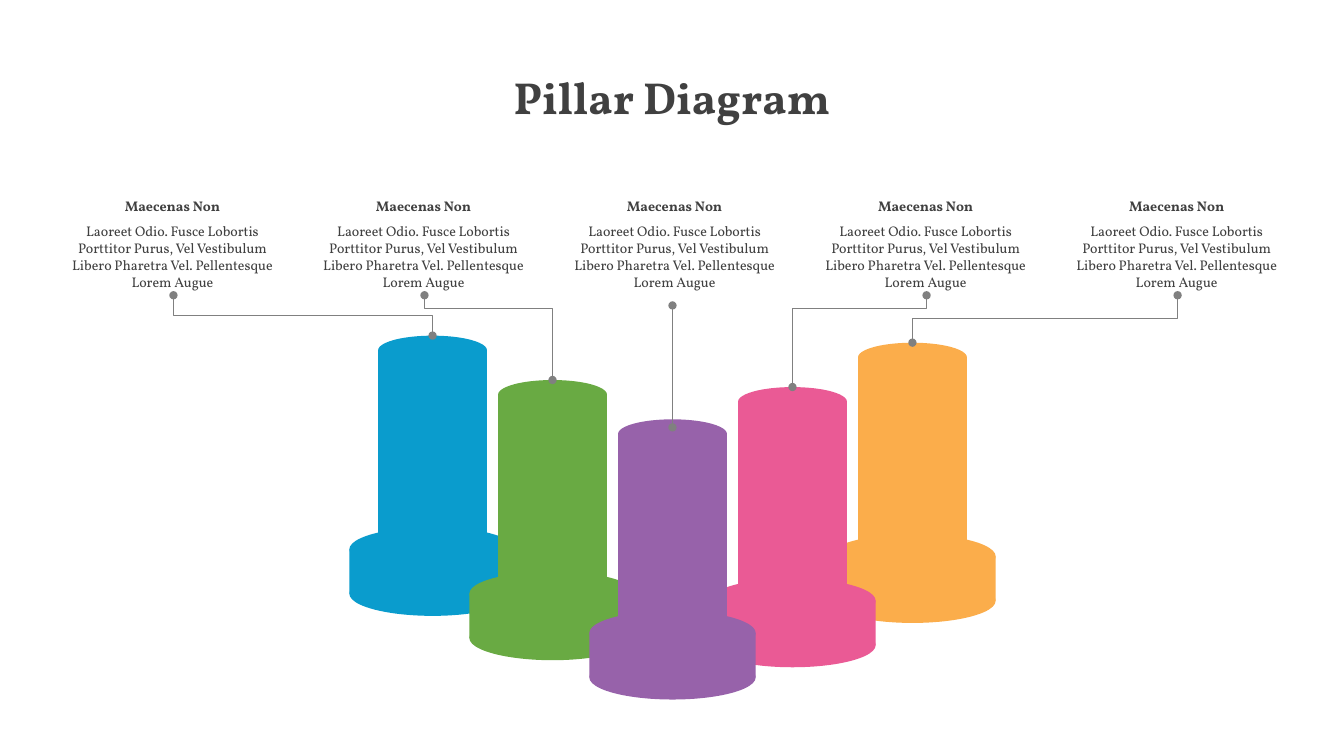
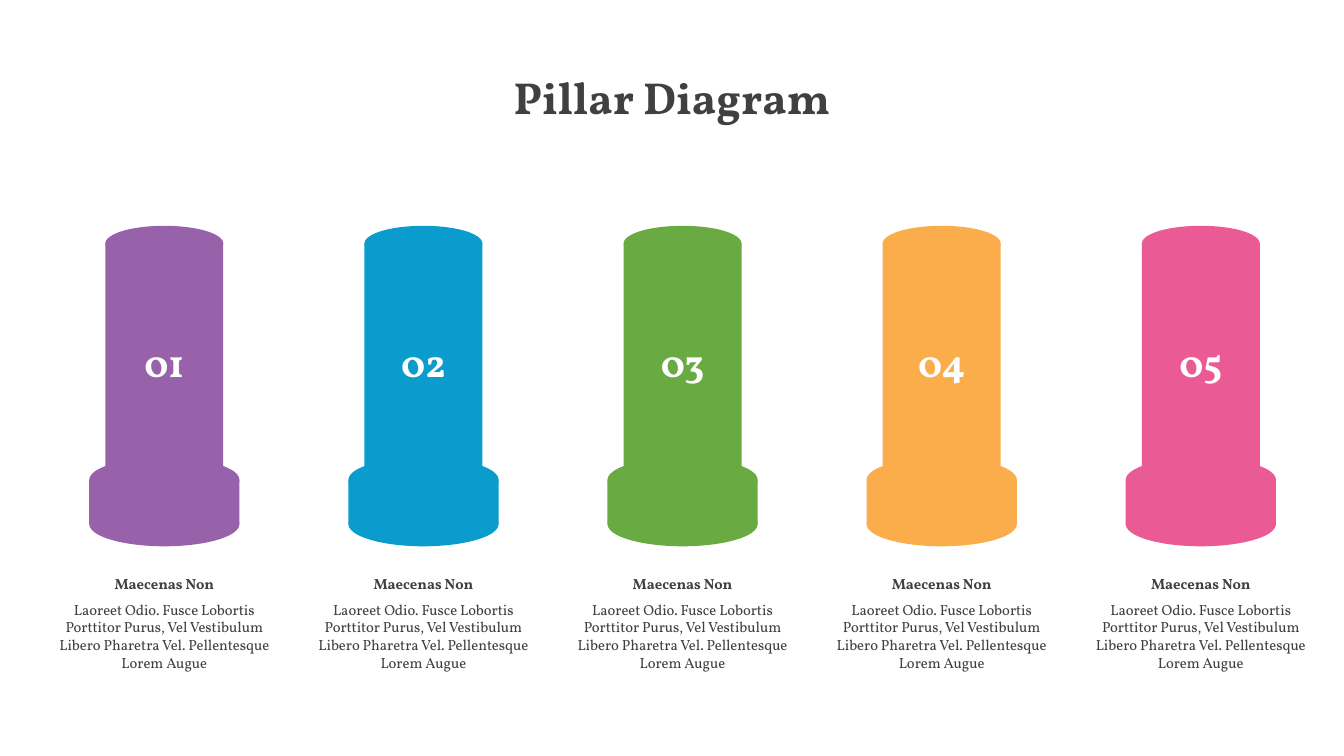
from dataclasses import dataclass
from typing import Optional

from lxml import etree
from pptx import Presentation
from pptx import util as u
from pptx.dml.color import RGBColor
from pptx.enum import shapes as es, text as et
from pptx.oxml import ns

FONT = "Vollkorn"
HUES = {
    "blue": "0A9CCD",
    "green": "69AA43",
    "purple": "9762AA",
    "pink": "EA5A95",
    "orange": "FBAD4B",
    "ink": "404040",
    "line": "808080",
    "white": "FFFFFF",
}
TITLE = "Pillar Diagram"
HEAD = "Maecenas Non"
BODY = ("Laoreet Odio. Fusce Lobortis Porttitor Purus, Vel Vestibulum "
        "Libero Pharetra Vel. Pellentesque Lorem Augue")
WIDTH, HEIGHT = 13.33, 7.5
BASE = 0.44  # height of the base block and of its ellipses
RECT, OVAL = es.MSO_SHAPE.RECTANGLE, es.MSO_SHAPE.OVAL


@dataclass(frozen=True)
class Form:
    """Measures of one pillar style, in inches."""
    shaft: float
    tall: float
    cap: float
    base: float


@dataclass(frozen=True)
class Pillar:
    """A pillar with the height at which its callout line bends."""
    hue: str
    top: float
    bend: Optional[float] = None


SLIM = Form(shaft=1.08, tall=1.94, cap=0.29, base=1.65)
BROAD = Form(shaft=1.17, tall=2.34, cap=0.35, base=1.49)
STAIRS = [
    Pillar("blue", 3.33, 3.13),
    Pillar("green", 3.77, 3.06),
    Pillar("purple", 4.16),
    Pillar("pink", 3.84, 3.06),
    Pillar("orange", 3.4, 3.16),
]
STACK = (4, 3, 0, 1, 2)  # back to front
ROW = ("purple", "blue", "green", "orange", "pink")


def color(name: str) -> RGBColor:
    return RGBColor.from_string(HUES[name])


def write(frame, text: str, size: float, hue: str = "ink",
          bold: bool = False, gap: float = 0, more: bool = False) -> None:
    """Set the first paragraph of a frame, or append one if more is true."""
    para = frame.add_paragraph() if more else frame.paragraphs[0]
    para.alignment = et.PP_ALIGN.CENTER
    para.space_before = u.Pt(gap)
    run = para.add_run()
    run.text = text
    font = run.font
    font.name, font.size, font.bold = FONT, u.Pt(size), bold
    font.color.rgb = color(hue)


def start(deck):
    """Add a slide with the shared title."""
    slide = deck.slides.add_slide(deck.slide_layouts[5])
    title = slide.shapes.title
    title.left, title.top = u.Inches(0), u.Inches(0.64)
    title.width, title.height = u.Inches(WIDTH), u.Inches(0.64)
    write(title.text_frame, TITLE, 32, bold=True)
    return slide


def draw(slide, form: Form, mid: float, top: float, hue: str,
         mark: str = "") -> None:
    """Draw a grouped pillar: base block, then shaft, each with two ellipses."""
    group = slide.shapes.add_group_shape()
    foot = top + form.tall - 0.04
    parts = [
        (RECT, form.base, foot + BASE / 2, BASE),
        (OVAL, form.base, foot, BASE),
        (OVAL, form.base, foot + BASE, BASE),
        (RECT, form.shaft, top + form.cap / 2, form.tall),
        (OVAL, form.shaft, top, form.cap),
        (OVAL, form.shaft, foot + 0.03, form.cap),
    ]
    for kind, wide, y, tall in parts:
        part = group.shapes.add_shape(
            kind, u.Inches(mid - wide / 2), u.Inches(y),
            u.Inches(wide), u.Inches(tall))
        part.shadow.inherit = False
        part.fill.solid()
        part.fill.fore_color.rgb = color(hue)
        part.line.fill.background()
        if mark and tall == form.tall:
            part.text_frame.vertical_anchor = et.MSO_ANCHOR.MIDDLE
            write(part.text_frame, mark, 28, "white", bold=True)


def label(slide, mid: float, top: float, wide: float, tall: float,
          size: float) -> None:
    box = slide.shapes.add_textbox(
        u.Inches(mid - wide / 2), u.Inches(top),
        u.Inches(wide), u.Inches(tall))
    frame = box.text_frame
    frame.word_wrap = True
    frame.auto_size = et.MSO_AUTO_SIZE.SHAPE_TO_FIT_TEXT
    write(frame, HEAD, size, bold=True)
    write(frame, BODY, size, gap=6, more=True)


def link(slide, x: float, y: float, endx: float, endy: float,
         bend: Optional[float]) -> None:
    """Join a pillar to its label, upright first, turning at height bend."""
    wide, tall = abs(endx - x), y - endy
    kind = es.MSO_CONNECTOR.STRAIGHT
    box = (x, y, endx, endy)
    if bend is not None:
        # The elbow runs sideways, so its frame is turned about its centre.
        kind = es.MSO_CONNECTOR.ELBOW
        midx, midy = (x + endx) / 2, (y + endy) / 2
        box = (midx - tall / 2, midy - wide / 2,
               midx + tall / 2, midy + wide / 2)
    wire = slide.shapes.add_connector(kind, *map(u.Inches, box))
    wire.line.color.rgb = color("line")
    wire.line.width = u.Pt(0.5)
    props = wire._element.spPr
    if bend is not None:
        right = endx > x
        frame = props.find(ns.qn("a:xfrm"))
        frame.set("rot", str((90 if right else 270) * 60000))
        frame.set("flipV", "1")
        if right:
            frame.set("flipH", "1")
        geom = props.find(ns.qn("a:prstGeom"))
        guides = geom.find(ns.qn("a:avLst"))
        if guides is None:
            guides = etree.SubElement(geom, ns.qn("a:avLst"))
        ratio = round((y - bend) / tall * 100000)
        etree.SubElement(guides, ns.qn("a:gd"), name="adj1",
                         fmla=f"val {ratio}")
    stroke = props.find(ns.qn("a:ln"))
    for end in ("a:headEnd", "a:tailEnd"):
        etree.SubElement(stroke, ns.qn(end), type="oval")
    etree.SubElement(props, ns.qn("a:effectLst"))


def stairs(deck) -> None:
    slide = start(deck)
    mids = [4.29 + 1.19 * i for i in range(len(STAIRS))]
    notes = [1.71 + 2.49 * i for i in range(len(STAIRS))]
    for i in STACK:
        draw(slide, SLIM, mids[i], STAIRS[i].top, STAIRS[i].hue)
    for item, mid, note in zip(STAIRS, mids, notes):
        if item.bend is None:
            link(slide, mid, item.top + 0.08, mid, 3.03, None)
        else:
            link(slide, mid, item.top, note + 0.01, 2.93, item.bend)
    for note in notes:
        label(slide, note, 1.91, 2.31, 1.03, 10)


def row(deck) -> None:
    slide = start(deck)
    for i, hue in enumerate(ROW):
        mid = 1.63 + 2.57 * i
        draw(slide, BROAD, mid, 2.24, hue, f"{i + 1:02}")
        label(slide, mid, 5.65, 2.51, 1.07, 10.5)


def main() -> None:
    deck = Presentation()
    deck.slide_width, deck.slide_height = u.Inches(WIDTH), u.Inches(HEIGHT)
    stairs(deck)
    row(deck)
    deck.save("out.pptx")


if __name__ == "__main__":
    main()
